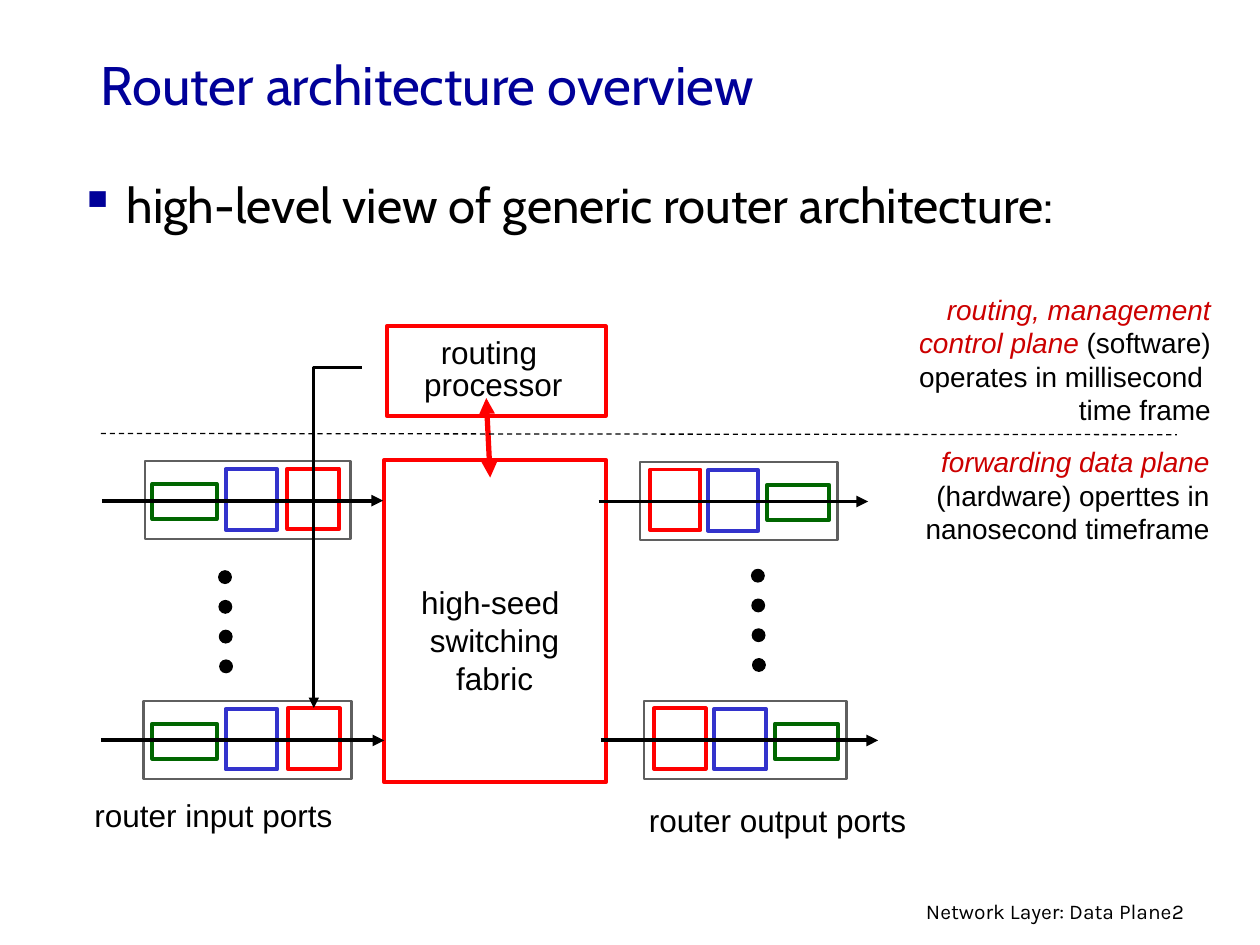
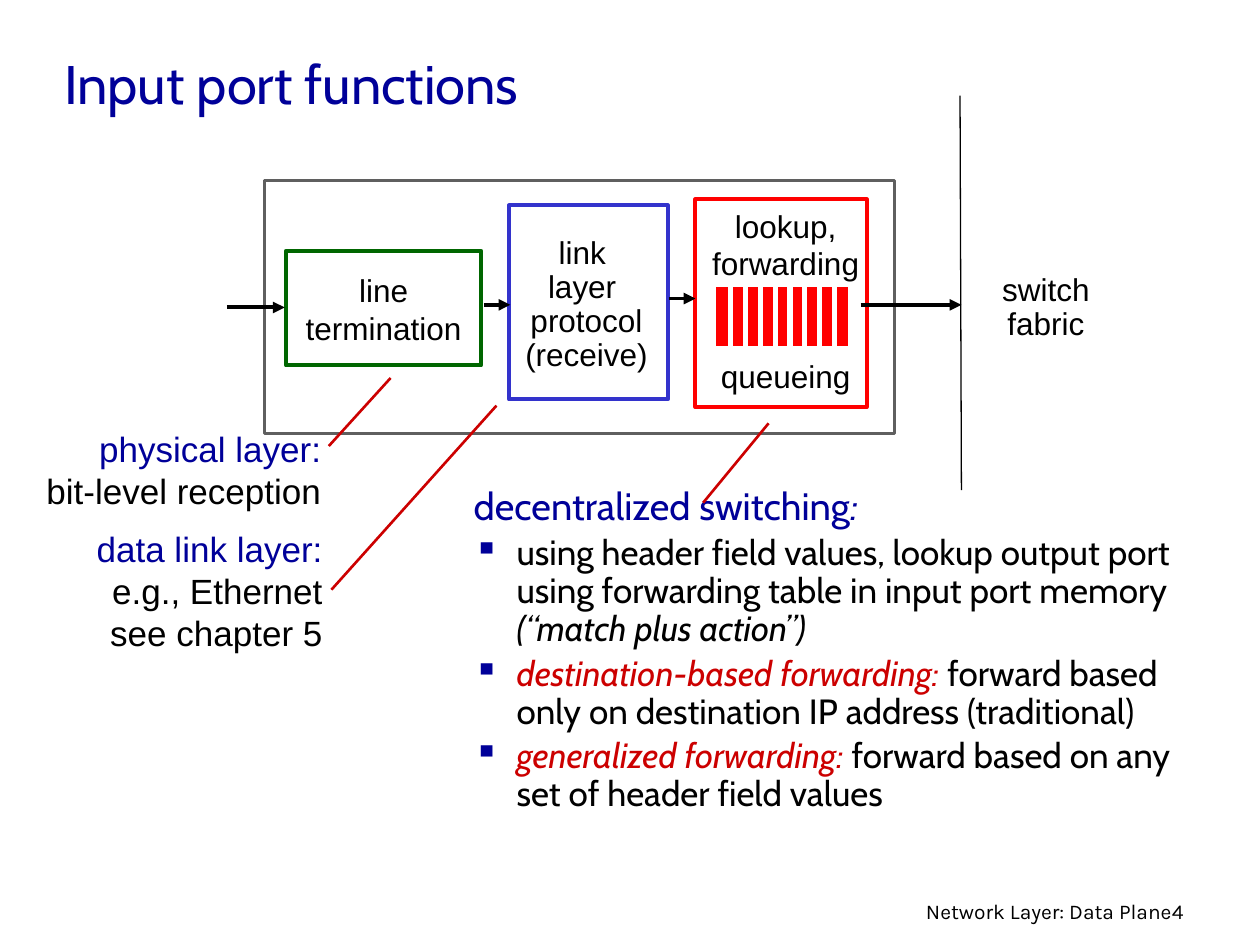
"""Build two slides on router architecture and input port functions."""
from lxml import etree
from pptx import Presentation
from pptx.dml.color import RGBColor
from pptx.enum.dml import MSO_LINE
from pptx.enum.shapes import MSO_CONNECTOR, MSO_SHAPE
from pptx.enum.text import MSO_ANCHOR, PP_ALIGN
from pptx.oxml.ns import qn
from pptx.util import Pt

LEFT, CENTER, RIGHT = PP_ALIGN.LEFT, PP_ALIGN.CENTER, PP_ALIGN.RIGHT
TOP, MIDDLE = MSO_ANCHOR.TOP, MSO_ANCHOR.MIDDLE
RECTANGLE, OVAL = MSO_SHAPE.RECTANGLE, MSO_SHAPE.OVAL
STRAIGHT, DASH = MSO_CONNECTOR.STRAIGHT, MSO_LINE.DASH
COLORS = {
    "navy": "000099", "black": "000000", "white": "FFFFFF", "gray": "5F5F5F",
    "red": "FF0000", "crimson": "CC0000", "green": "006600", "blue": "3333CC",
}
HEADING_FONT, LABEL_FONT, FOOTER_FONT = "Cabin", "Arial", "Karla"


def add_text(slide, paragraphs, left, top, width, height, font=LABEL_FONT, size=18,
             color="black", align=LEFT, anchor=TOP, wrap=False, line_spacing=None,
             space_before=0, bullet_indent=0, plain_first=False):
    """Add a text box; a paragraph is a string or a list of (text, format) runs."""
    box = slide.shapes.add_textbox(Pt(left), Pt(top), Pt(width), Pt(height))
    frame = box.text_frame
    frame.word_wrap = wrap
    frame.vertical_anchor = anchor
    frame.margin_left = frame.margin_right = Pt(3.6)
    frame.margin_top = frame.margin_bottom = Pt(3.6)
    for index, runs in enumerate(paragraphs):
        paragraph = frame.paragraphs[0] if index == 0 else frame.add_paragraph()
        if bullet_indent and not (plain_first and index == 0):
            properties = paragraph._p.get_or_add_pPr()
            properties.set("marL", str(Pt(bullet_indent)))
            properties.set("indent", str(-Pt(bullet_indent)))
            bullet_color = etree.SubElement(properties, qn("a:buClr"))
            etree.SubElement(bullet_color, qn("a:srgbClr"), val=COLORS["navy"])
            etree.SubElement(properties, qn("a:buChar"), char="▪")
        paragraph.alignment = align
        if line_spacing:
            paragraph.line_spacing = line_spacing
        if index and space_before:
            paragraph.space_before = Pt(space_before)
        for text, changes in [(runs, {})] if isinstance(runs, str) else runs:
            run = paragraph.add_run()
            run.text = text
            run.font.name = font
            run.font.size = Pt(changes.get("size", size))
            run.font.italic = changes.get("italic", False)
            run.font.color.rgb = RGBColor.from_string(COLORS[changes.get("color", color)])


def add_line(slide, points, color="black", width=2.25, ends=(), dashed=False):
    """Draw a connector through two points, or an open outline through more."""
    points = [(Pt(x), Pt(y)) for x, y in points]
    if len(points) == 2:
        shape = slide.shapes.add_connector(STRAIGHT, *points[0], *points[1])
    else:
        builder = slide.shapes.build_freeform(*points[0])
        builder.add_line_segments(points[1:], close=False)
        shape = builder.convert_to_shape()
        shape.fill.background()
    shape.line.color.rgb = RGBColor.from_string(COLORS[color])
    shape.line.width = Pt(width)
    if dashed:
        shape.line.dash_style = DASH
    properties = shape._element.spPr
    for end in ends:
        etree.SubElement(properties.get_or_add_ln(), qn(f"a:{end}"), type="triangle")
    etree.SubElement(properties, qn("a:effectLst"))


presentation = Presentation()
presentation.slide_width = Pt(720)
presentation.slide_height = Pt(540)
overview = presentation.slides.add_slide(presentation.slide_layouts[6])
input_port = presentation.slides.add_slide(presentation.slide_layouts[6])

for slide, title, left, top, number in [
    (overview, "Router architecture overview", 54, 23.8, "2"),
    (input_port, "Input port functions", 33.1, 23, "4"),
]:
    add_text(slide, [title], left, top, 612, 48.2, font=HEADING_FONT, size=31,
             color="navy", anchor=MIDDLE, wrap=True)
    add_text(slide, [number], 666, 509.8, 14.4, 20.9, font=FOOTER_FONT, size=12)
    add_text(slide, ["Network Layer: Data Plane"], 501.8, 509.8, 171.4, 20.9,
             font=FOOTER_FONT, size=12, align=RIGHT, wrap=True)

PORTS = [
    (263.5, (82.8, 117.4), (87.1, 36.7), (128.9, 29.5), (164.2, 29.5), (58.3, 218.9)),
    (400.5, (82.1, 118.8), (87.1, 36.7), (128.9, 29.5), (164.4, 29.9), (57.6, 219.6)),
    (264, (365.8, 113), (438.5, 35.3), (404.6, 28.8), (371.5, 28.8), (342, 496.1)),
    (400.5, (367.9, 115.9), (442.8, 36), (408.2, 29.5), (373.7, 29.5), (343.4, 501.8)),
]
boxes = [
    (overview, 219.6, 262.8, 126.7, 184.3, "red", 2.25),
    (overview, 221, 186.5, 125.3, 51.1, "red", 2.25),
    (input_port, 151.2, 103, 360, 144.7, "gray", 1.5),
    (input_port, 163.4, 143.3, 111.6, 65.5, "green", 2.25),
    (input_port, 290.9, 117.4, 90.7, 110.9, "blue", 2.25),
    (input_port, 397.4, 113.8, 97.9, 118.8, "red", 2.25),
]
for top, frame_span, termination, link, lookup, _ in PORTS:
    for (left, width), drop, height, color, weight in [
        (frame_span, 0, 44.6, "gray", 1.5),
        (termination, 13, 20.2, "green", 2.25),
        (link, 4.6, 34.6, "blue", 2.25),
        (lookup, 4.3, 34.6, "red", 2.25),
    ]:
        boxes.append((overview, left, top + drop, width, height, color, weight))

for slide, left, top, width, height, color, weight in boxes:
    box = slide.shapes.add_shape(RECTANGLE, Pt(left), Pt(top), Pt(width), Pt(height))
    box.shadow.inherit = False
    box.fill.solid()
    box.fill.fore_color.rgb = RGBColor.from_string(COLORS["white"])
    box.line.color.rgb = RGBColor.from_string(COLORS[color])
    box.line.width = Pt(weight)

for top, *_, (start, end) in PORTS:
    add_line(overview, [(start, top + 22.6), (end, top + 22.6)], ends=["tailEnd"])

for left, top in [(125, 326.2), (429.5, 325.4)]:
    for step in range(4):
        dot = overview.shapes.add_shape(OVAL, Pt(left + 0.2 * step), Pt(top + 17 * step),
                                        Pt(7.2), Pt(7.2))
        dot.shadow.inherit = False
        dot.fill.solid()
        dot.fill.fore_color.rgb = RGBColor.from_string(COLORS["black"])
        dot.line.color.rgb = RGBColor.from_string(COLORS["black"])
        dot.line.width = Pt(0.75)

add_text(overview, ["high-level view of generic router architecture:"], 41.8, 101.5, 612, 46,
         font=HEADING_FONT, size=28, wrap=True, line_spacing=0.85, bullet_indent=27)
add_text(overview, ["high-seed ", "switching", "fabric"], 234, 329.8, 97.2, 69.8, align=CENTER)
add_text(overview, ["routing ", "processor"], 238.3, 190.1, 87.1, 45.4, align=CENTER,
         line_spacing=0.85)
add_text(overview, ["router input ports"], 50.4, 451.4, 144, 27.4)
add_text(overview, ["router output ports"], 367.2, 454.3, 155.5, 27.4)
emphasis = {"color": "crimson", "italic": True}
add_text(overview, [[("forwarding data plane ", emphasis),
                     ("(hardware) operttes in nanosecond timeframe", {})]],
         522.7, 250.6, 172.1, 60.5, size=16, align=RIGHT, wrap=True)
add_text(overview, [[("routing, management", emphasis)],
                    [("control plane ", emphasis), ("(software)", {})],
                    "operates in millisecond ", "time frame"],
         468.7, 163.4, 226.8, 78.5, size=16, align=RIGHT, wrap=True)
add_line(overview, [(277.9, 227.5), (280.1, 272.9)], "red", 3, ends=["headEnd", "tailEnd"])
add_line(overview, [(57.6, 247.7), (672.5, 248.4)], width=0.75, dashed=True)
add_line(overview, [(206.6, 210.2), (179.3, 210.2), (179.3, 404.6)], width=1.5,
         ends=["tailEnd"])

for start, end, height in [(129.6, 162.7, 175.7), (276.5, 291.6, 174.2),
                           (382.3, 397.4, 170.6), (491.8, 549.4, 174.2)]:
    add_line(input_port, [(start, height), (end, height)], ends=["tailEnd"])
add_line(input_port, [(548.6, 54.7), (549.4, 280.1)], width=0.75)

add_text(input_port, ["line", "termination"], 170.6, 151.9, 97.2, 49, align=CENTER,
         anchor=MIDDLE)
add_text(input_port, ["link ", "layer ", "protocol", "(receive)"], 295.9, 132.5, 78.5, 84.2,
         align=CENTER, anchor=MIDDLE, line_spacing=0.9)
add_text(input_port, ["lookup,", "forwarding"], 400.3, 114.5, 97.2, 49, align=CENTER)
add_text(input_port, ["queueing"], 400.3, 200.5, 97.2, 27.4, align=CENTER)
add_text(input_port, ["switch", "fabric"], 565.9, 152.6, 63.4, 46.8, align=CENTER,
         anchor=MIDDLE, line_spacing=0.9)

queue = input_port.shapes.add_shape(RECTANGLE, Pt(407.5), Pt(162.7), Pt(78.5), Pt(36.7))
queue.shadow.inherit = False
queue.fill.solid()
queue.fill.fore_color.rgb = RGBColor.from_string(COLORS["red"])
queue.line.color.rgb = RGBColor.from_string(COLORS["white"])
queue.line.width = Pt(3)
for slot in range(8):
    divider = 417.6 + 8.45 * slot
    add_line(input_port, [(divider, 163.1), (divider, 198.4)], "white", 3)

add_text(input_port, [
    [("decentralized switching", {"size": 21.8, "color": "navy"}),
     (":", {"size": 21.8, "color": "navy", "italic": True})],
    [("using header field values, lookup output port using forwarding table in input port "
      "memory ", {}), ("(“match plus action”)", {"italic": True})],
    [("destination-based forwarding: ", emphasis),
     ("forward based only on destination IP address (traditional)", {})],
    [("generalized forwarding: ", emphasis),
     ("forward based on any set of header field values", {})],
], 267.1, 275, 429.8, 210.2, font=HEADING_FONT, size=20, wrap=True, line_spacing=0.9,
    space_before=4, bullet_indent=24.5, plain_first=True)

navy = {"color": "navy"}
add_text(input_port, [[("physical layer:", navy)], "bit-level reception"],
         22.3, 240.5, 164.9, 52.6, size=20, align=RIGHT)
add_text(input_port, [[("data link layer:", navy)], "e.g., Ethernet", "see chapter 5"],
         45.4, 298.1, 142.6, 75.6, size=20, align=RIGHT)
for start, end in [((187.9, 254.9), (223.2, 216)), ((189.4, 337), (283.7, 231.8)),
                   ((401.8, 287.3), (439.2, 241.9))]:
    add_line(input_port, [start, end], "crimson", 1.5)

presentation.save("out.pptx")
